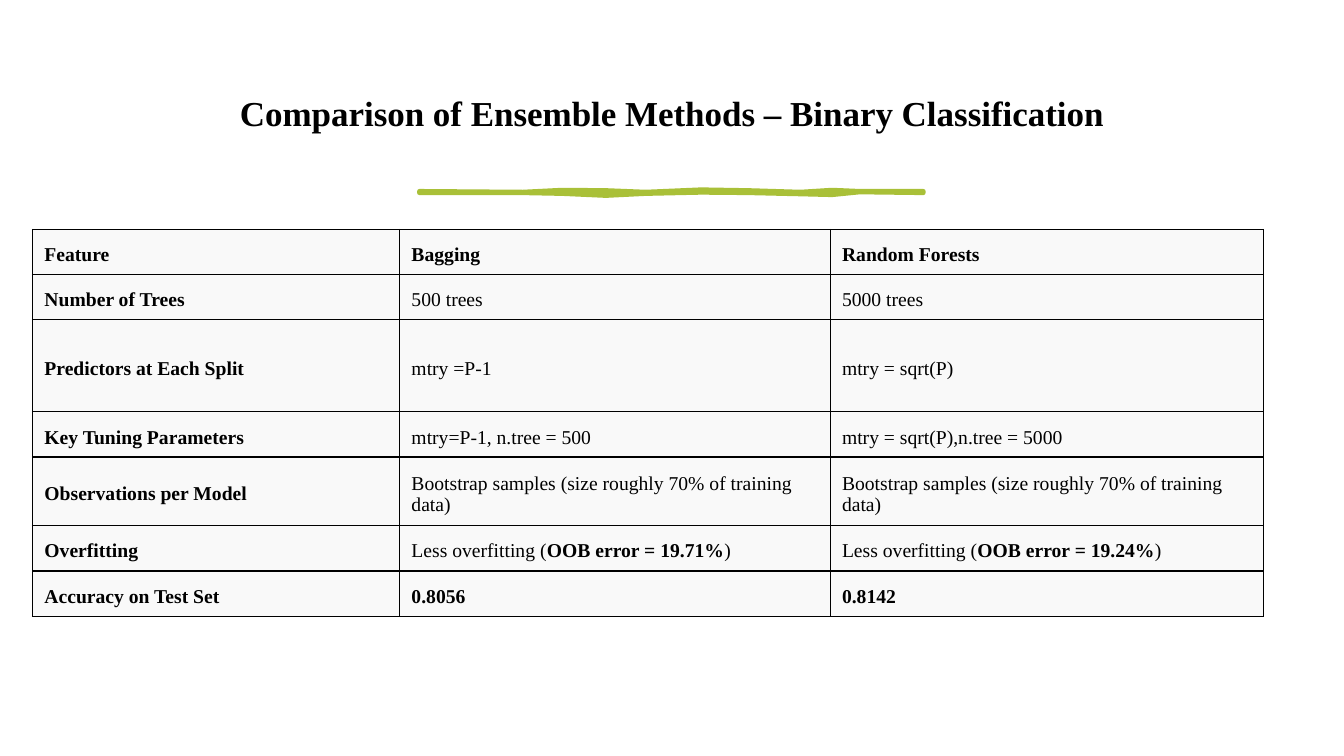
"""Build the slide that compares two ensemble methods for binary classification."""
import lxml.etree
import pptx
import pptx.dml.color
import pptx.enum.text
import pptx.oxml.ns
import pptx.util
from pptx.util import Cm

FONT = "Times New Roman"
INK = "000000"
ACCENT = "A9C038"
CELL_TINT = "F2F2F2"

COLUMN_WIDTHS = [9.25, 10.85, 10.92]
ROW_HEIGHTS = [1.14, 1.14, 2.32, 1.14, 1.73, 1.14, 1.14]
SAMPLES = "Bootstrap samples (size roughly 70% of training data)"
COMPARISON = [
    ["**Feature**", "**Bagging**", "**Random Forests**"],
    ["**Number of Trees**", "500 trees", "5000 trees"],
    ["**Predictors at Each Split**", "mtry =P-1", "mtry = sqrt(P)"],
    ["**Key Tuning Parameters**", "mtry=P-1, n.tree = 500", "mtry = sqrt(P),n.tree = 5000"],
    ["**Observations per Model**", SAMPLES, SAMPLES],
    ["**Overfitting**", "Less overfitting (**OOB error = 19.71%**)",
     "Less overfitting (**OOB error = 19.24%**)"],
    ["**Accuracy on Test Set**", "**0.8056**", "**0.8142**"],
]

BRUSH_LEFT = 10.57
BRUSH_UPPER = [(0, 4.82), (2.6, 4.84), (3.6, 4.79), (4.7, 4.8), (5.7, 4.84), (7.1, 4.78),
               (8.3, 4.8), (9.6, 4.84), (10.4, 4.79), (11.1, 4.82), (12.7, 4.82)]
BRUSH_LOWER = [(12.7, 4.86), (11.1, 4.84), (10.4, 4.91), (9.6, 4.89), (8.3, 4.86),
               (7.1, 4.85), (5.7, 4.88), (4.7, 4.93), (3.6, 4.88), (2.6, 4.86), (0, 4.86)]


def colour(hex_code):
    """Turn a hex string into a colour."""
    return pptx.dml.color.RGBColor.from_string(hex_code)


def write_runs(paragraph, marked_text, size):
    """Add the text run by run, with the parts between ** in bold."""
    for index, part in enumerate(marked_text.split("**")):
        if part:
            run = paragraph.add_run()
            run.text = part
            run.font.name = FONT
            run.font.size = pptx.util.Pt(size)
            run.font.bold = index % 2 == 1
            run.font.color.rgb = colour(INK)


def add_heading(slide, heading):
    """Place and format the title placeholder."""
    title = slide.shapes.title
    title.left, title.top, title.width, title.height = Cm(1.78), Cm(1.17), Cm(30.3), Cm(3.48)
    frame = title.text_frame
    frame.auto_size = pptx.enum.text.MSO_AUTO_SIZE.NONE
    frame.vertical_anchor = pptx.enum.text.MSO_ANCHOR.MIDDLE
    paragraph = frame.paragraphs[0]
    paragraph.alignment = pptx.enum.text.PP_ALIGN.CENTER
    paragraph.line_spacing = 0.9
    paragraph.space_after = pptx.util.Pt(6)
    write_runs(paragraph, heading, 25)


def add_brush_stroke(slide):
    """Draw the wavy rule under the title."""
    outline = [(Cm(BRUSH_LEFT + x), Cm(y)) for x, y in BRUSH_UPPER + BRUSH_LOWER]
    builder = slide.shapes.build_freeform(*outline[0])
    builder.add_line_segments(outline[1:], close=True)
    stroke = builder.convert_to_shape()
    stroke.shadow.inherit = False
    stroke.fill.solid()
    stroke.fill.fore_color.rgb = colour(ACCENT)
    stroke.line.color.rgb = colour(ACCENT)
    stroke.line.width = pptx.util.Pt(3.25)


def add_element(parent, tag, **attributes):
    """Append a DrawingML element to its parent."""
    return lxml.etree.SubElement(parent, pptx.oxml.ns.qn(tag), attributes)


def format_cell(cell):
    """Give a cell its borders, translucent fill, margins and anchor."""
    properties = cell._tc.get_or_add_tcPr()
    for side in ("a:lnL", "a:lnR", "a:lnT", "a:lnB"):
        border = add_element(properties, side, w=str(pptx.util.Pt(1)))
        add_element(add_element(border, "a:solidFill"), "a:srgbClr", val=INK)
    cell.fill.solid()
    cell.fill.fore_color.rgb = colour(CELL_TINT)
    tint = properties.find(pptx.oxml.ns.qn("a:solidFill"))[0]
    add_element(tint, "a:alpha", val="45000")
    cell.margin_left = cell.margin_right = cell.margin_top = Cm(0.3)
    cell.margin_bottom = Cm(0.15)
    cell.vertical_anchor = pptx.enum.text.MSO_ANCHOR.MIDDLE


def add_comparison(slide):
    """Add the table of methods."""
    table = slide.shapes.add_table(
        len(ROW_HEIGHTS), len(COLUMN_WIDTHS), Cm(0.82), Cm(5.78),
        Cm(sum(COLUMN_WIDTHS)), Cm(sum(ROW_HEIGHTS))).table
    table.first_row = table.horz_banding = False
    for column, width in zip(table.columns, COLUMN_WIDTHS):
        column.width = Cm(width)
    for row, height, texts in zip(table.rows, ROW_HEIGHTS, COMPARISON):
        row.height = Cm(height)
        for cell, text in zip(row.cells, texts):
            format_cell(cell)
            write_runs(cell.text_frame.paragraphs[0], text, 14)


def main():
    """Build and save the presentation."""
    presentation = pptx.Presentation()
    presentation.slide_width, presentation.slide_height = Cm(33.87), Cm(19.05)
    slide = presentation.slides.add_slide(presentation.slide_layouts[5])
    add_heading(slide, "**Comparison of Ensemble Methods – Binary Classification**")
    add_brush_stroke(slide)
    add_comparison(slide)
    presentation.save("out.pptx")


if __name__ == "__main__":
    main()
